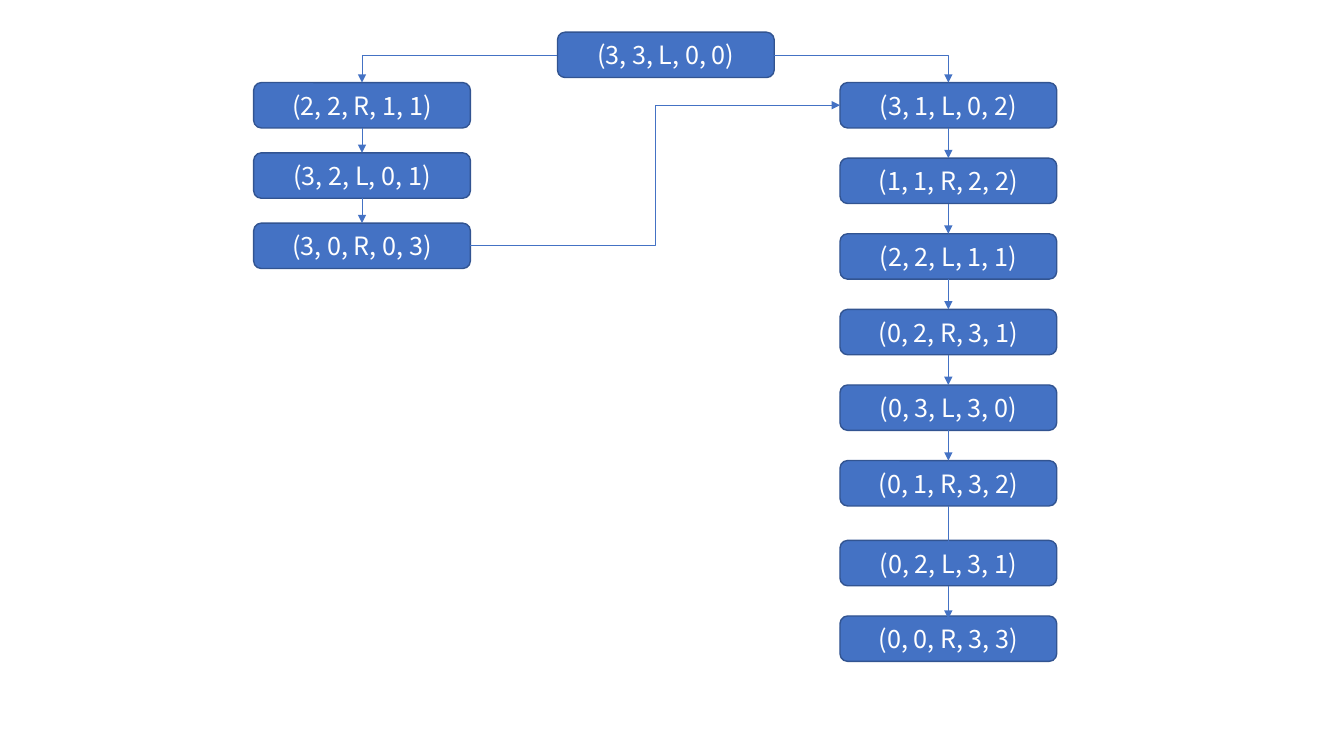
"""Draw the state graph of a river crossing puzzle on one slide."""
from dataclasses import dataclass
from itertools import pairwise

from lxml.etree import SubElement
from pptx import Presentation
from pptx.dml.color import RGBColor as Rgb
from pptx.enum.shapes import MSO_CONNECTOR as Link, MSO_SHAPE as Form
from pptx.enum.text import MSO_ANCHOR as Anchor, PP_ALIGN as Align
from pptx.oxml.ns import qn
from pptx.shapes.autoshape import Shape
from pptx.shapes.connector import Connector
from pptx.shapes.shapetree import SlideShapes as Tree
from pptx.util import Pt

HUES = {"fill": "4472C4", "edge": "325491", "text": "FFFFFF"}
FONT = {"name": "Noto Sans CJK KR", "size": Pt(18)}
FRAME = {"vertical_anchor": Anchor.MIDDLE, "word_wrap": True}
WIDE, HIGH = 154.8, 32.4
TOP, LEFT, BASE, RIGHT = range(4)


@dataclass
class State:
    """A puzzle state and the top left corner of its box."""
    text: str
    x: float
    y: float


@dataclass
class Move:
    """An arrow between two states; dip is how far its tip enters the box."""
    start: str
    end: str
    out: int = BASE
    into: int = TOP
    bend: str = ""
    dip: float = 0


def tint(name: str) -> Rgb:
    """Return the named colour."""
    return Rgb.from_string(HUES[name])


def apply(part: object, form: dict) -> None:
    """Set each format value on the part."""
    for key, value in form.items():
        setattr(part, key, value)


def stack(texts: list[str], x: float, y: float, step: float) -> list[State]:
    """Place states down a column at an equal step."""
    return [State(text, x, y + i * step) for i, text in enumerate(texts)]


def draw_state(tree: Tree, state: State) -> Shape:
    """Draw one state as a rounded box."""
    box = tree.add_shape(Form.ROUNDED_RECTANGLE, Pt(state.x), Pt(state.y),
                         Pt(WIDE), Pt(HIGH))
    box.shadow.inherit = False
    box.fill.solid()
    box.fill.fore_color.rgb = tint("fill")
    box.line.color.rgb = tint("edge")
    box.line.width = Pt(1)
    apply(box.text_frame, FRAME)
    para = box.text_frame.paragraphs[0]
    para.alignment = Align.CENTER
    run = para.add_run()
    run.text = state.text
    apply(run.font, FONT)
    run.font.color.rgb = tint("text")
    return box


def draw_move(tree: Tree, move: Move, boxes: dict[str, Shape]) -> Connector:
    """Draw one move as an arrow joined to its boxes."""
    kind = Link.ELBOW if move.bend else Link.STRAIGHT
    line = tree.add_connector(kind, 0, 0, 0, 0)
    goal = boxes[move.end]
    line.begin_connect(boxes[move.start], move.out)
    if move.dip:
        apply(line, {"end_x": line.begin_x, "end_y": goal.top + Pt(move.dip)})
    else:
        line.end_connect(goal, move.into)
    line.line.color.rgb = tint("fill")
    line.line.width = Pt(0.5)
    props = line._element.spPr
    if move.bend:
        props.find(qn("a:prstGeom")).set("prst", move.bend)
    SubElement(props.find(qn("a:ln")), qn("a:tailEnd"), type="triangle")
    SubElement(props, qn("a:effectLst"))
    return line


def main() -> None:
    """Build and save the slide."""
    deck = Presentation()
    apply(deck, {"slide_width": Pt(960), "slide_height": Pt(540)})
    tree = deck.slides.add_slide(deck.slide_layouts[6]).shapes

    root = State("(3, 3, L, 0, 0)", 398.2, 23)
    left = stack(["(2, 2, R, 1, 1)", "(3, 2, L, 0, 1)", "(3, 0, R, 0, 3)"],
                 181.2, 59, 50.2)
    right = stack(["(3, 1, L, 0, 2)", "(1, 1, R, 2, 2)", "(2, 2, L, 1, 1)",
                   "(0, 2, R, 3, 1)", "(0, 3, L, 3, 0)", "(0, 1, R, 3, 2)"],
                  600, 59, 54)
    last = stack(["(0, 2, L, 3, 1)", "(0, 0, R, 3, 3)"], 600, 386, 54)

    dips = {last[0].text: 8, last[1].text: 2}
    moves = [
        Move(root.text, right[0].text, RIGHT, TOP, "bentConnector2"),
        Move(root.text, left[0].text, LEFT, TOP, "bentConnector2"),
        Move(left[-1].text, right[0].text, RIGHT, LEFT, "bentConnector3"),
    ]
    for chain in (left, right + last):
        moves += [Move(a.text, b.text, dip=dips.get(b.text, 0))
                  for a, b in pairwise(chain)]

    states = [root, *left, *right, *last]
    boxes = {state.text: draw_state(tree, state) for state in states}
    for move in moves:
        draw_move(tree, move, boxes)
    deck.save("out.pptx")


main()
